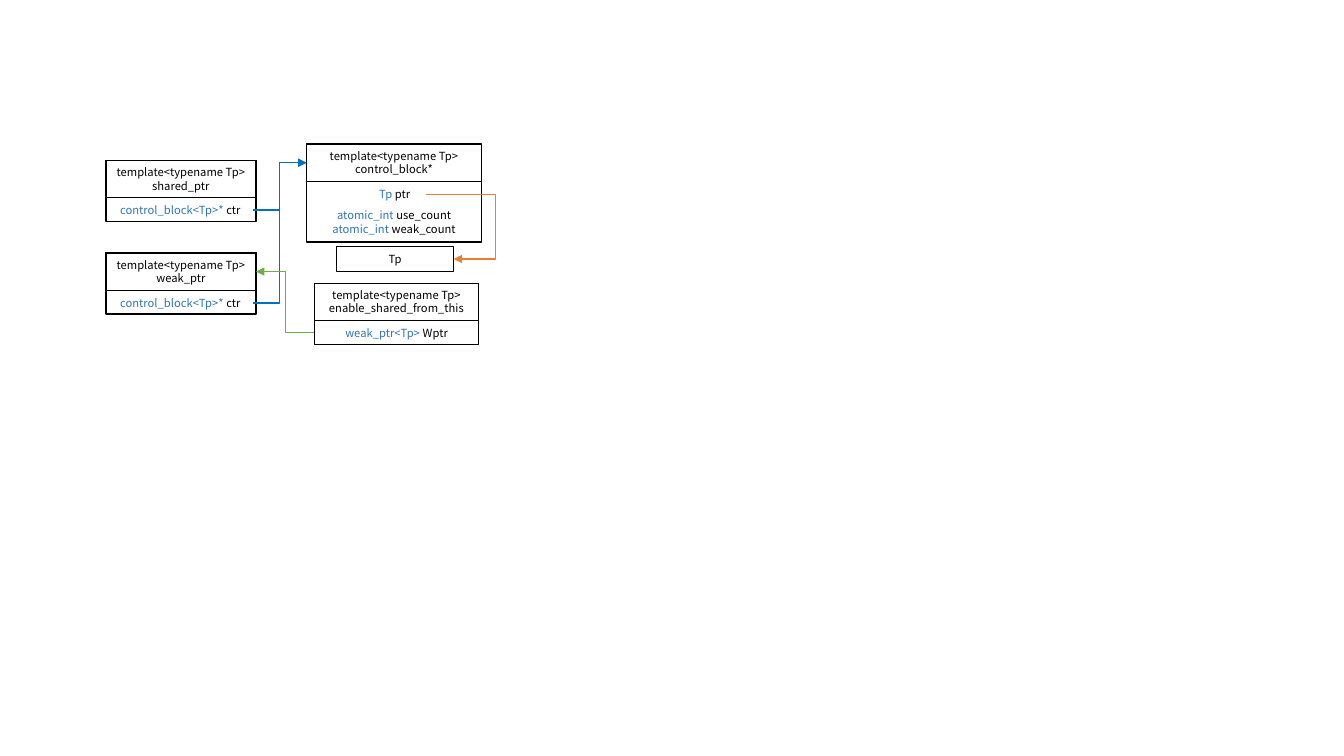
from lxml.etree import SubElement
from pptx import Presentation
from pptx.dml.color import RGBColor
from pptx.enum.shapes import MSO_CONNECTOR as CONN, MSO_SHAPE as SHAPE
from pptx.enum.text import MSO_ANCHOR as ANCHOR, MSO_AUTO_SIZE as FIT, PP_ALIGN as ALIGN
from pptx.oxml.ns import qn
from pptx.util import Pt

LEFT, RIGHT = 1, 3
ROW_H, TITLE_H = 17.3, 26.6


def rgb(color):
    return RGBColor.from_string(color)


class Diagram:
    font, size = "Noto Sans CJK KR", 8
    ink, type_color = "000000", "2E75B6"

    def __init__(self, s):
        self.s = s

    def box(self, x, y, w, h, weight):
        sp = self.s.shapes.add_shape(SHAPE.RECTANGLE, Pt(x), Pt(y), Pt(w), Pt(h))
        sp.shadow.inherit = False
        sp.fill.background()
        sp.line.color.rgb = rgb(self.ink)
        sp.line.width = Pt(weight)
        return sp

    def label(self, sp, lines):
        tf = sp.text_frame
        tf.word_wrap = True
        tf.auto_size = FIT.SHAPE_TO_FIT_TEXT
        tf.vertical_anchor = ANCHOR.MIDDLE
        for i, runs in enumerate(lines):
            p = tf.add_paragraph() if i else tf.paragraphs[0]
            p.alignment = ALIGN.CENTER
            p.font.name = self.font
            p.font.size = Pt(self.size)
            for text, color in runs:
                r = p.add_run()
                r.text = text
                r.font.color.rgb = rgb(color)
        return sp

    def title(self, x, y, w, h, *lines):
        return self.label(self.box(x, y, w, h, 0.75), [[(t, self.ink)] for t in lines])

    def members(self, x, y, w, h, *fields):
        sp = self.s.shapes.add_textbox(Pt(x), Pt(y), Pt(w), Pt(h))
        return self.label(sp, [[(kind + " ", self.type_color), (name, self.ink)]
                               for kind, name in fields])

    def record(self, x, y, w, h, *title):
        head = self.title(x, y, w, TITLE_H, *title)
        self.box(x, y, w, h, 1)
        return head

    def arrow(self, start, start_side, end, end_side, color, bend=0.5):
        c = self.s.shapes.add_connector(CONN.ELBOW, 0, 0, 0, 0)
        c.begin_connect(start, start_side)
        c.end_connect(end, end_side)
        c.line.color.rgb = rgb(color)
        c.line.width = Pt(1)
        props = c.element.spPr
        SubElement(props.find(qn("a:ln")), qn("a:tailEnd"), type="triangle")
        SubElement(props, qn("a:effectLst"))
        guides = props.find(qn("a:prstGeom")).get_or_add_avLst()
        SubElement(guides, qn("a:gd"), name="adj1", fmla=f"val {round(bend * 100000)}")


def main():
    prs = Presentation()
    prs.slide_width, prs.slide_height = Pt(960), Pt(540)
    d = Diagram(prs.slides.add_slide(prs.slide_layouts[6]))
    template = "template<typename Tp>"

    control = d.record(218.9, 103, 125.3, 69.8, template, "control_block*")
    pointer = d.members(259.2, 130.3, 45.4, ROW_H, ("Tp", "ptr"))
    d.members(218.9, 145.4, 125.3, TITLE_H,
              ("atomic_int", "use_count"), ("atomic_int", "weak_count"))
    target = d.title(240.5, 176.4, 83.5, ROW_H, "Tp")
    d.arrow(pointer, RIGHT, target, RIGHT, "ED7D31", 2.55)

    heads = {}
    for name, y in (("shared_ptr", 114.5), ("weak_ptr", 180.7)):
        heads[name] = d.record(75.6, y, 107.3, 43.6, template, name)
        ctr = d.members(77, y + 27, 103.7, ROW_H, ("control_block<Tp>*", "ctr"))
        d.arrow(ctr, RIGHT, control, LEFT, "0070C0")

    d.record(224.6, 202.3, 117.4, 43.9, template + " enable_shared_from_this")
    wptr = d.members(224.6, 229, 117.4, ROW_H, ("weak_ptr<Tp>", "Wptr"))
    d.arrow(wptr, LEFT, heads["weak_ptr"], RIGHT, "70AD47")

    prs.save("out.pptx")


if __name__ == "__main__":
    main()
